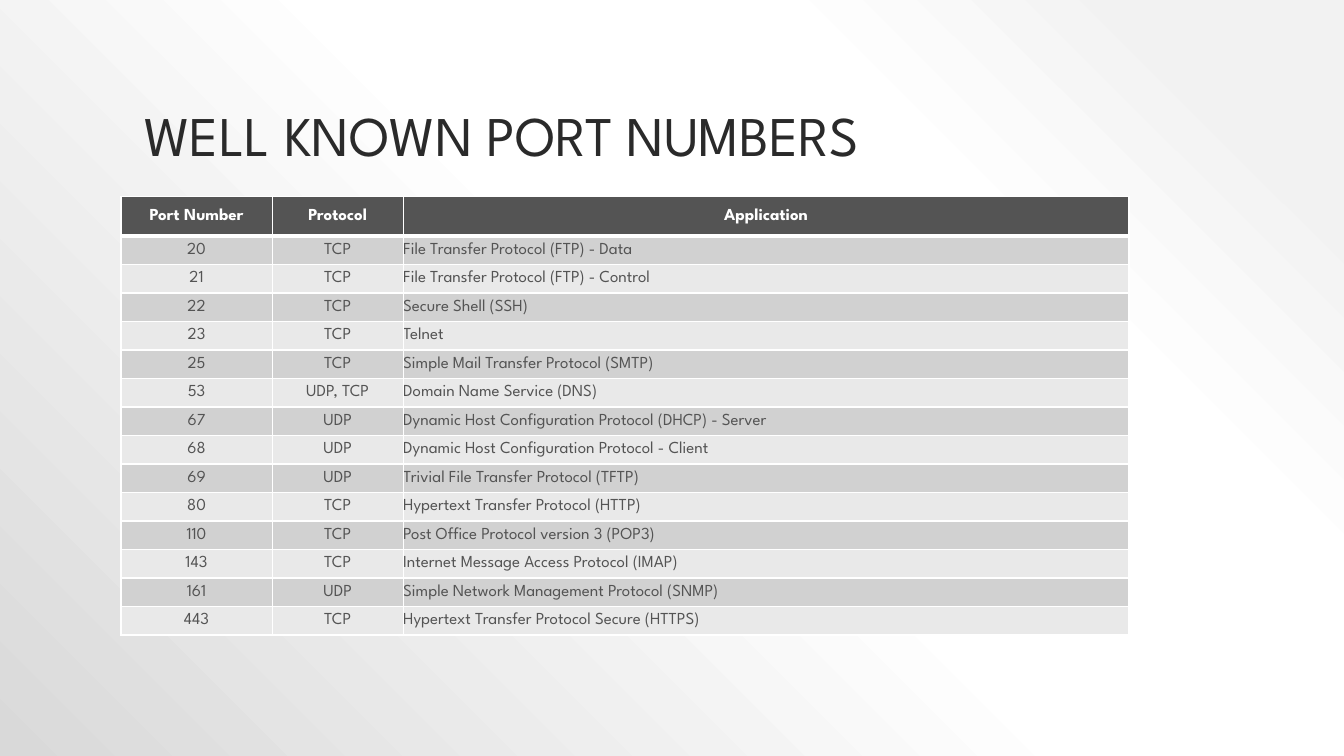
from dataclasses import dataclass

from lxml import etree
from pptx import Presentation, util as u
from pptx.dml.color import RGBColor
from pptx.enum import text
from pptx.oxml import ns


@dataclass(frozen=True)
class Theme:
    font: str = "League Spartan"
    title_size: int = 40
    table_size: int = 12
    title_ink: str = "2A2A2A"
    header_ink: str = "FFFFFF"
    body_ink: str = "545454"
    header_fill: str = "545454"
    bands: tuple = ("D1D1D1", "E9E9E9")
    rule: str = "FFFFFF"
    backdrop: tuple = ((10, "F2F2F2"), (28, "FFFFFF"), (48, "FFFFFF"), (100, "D9D9D9"))


THEME = Theme()
SLIDE_WIDTH, SLIDE_HEIGHT = u.Inches(13.33), u.Inches(7.5)
TITLE_AREA = (0.1, 0.04, 0.8, 0.19)
TABLE_AREA = (0.09, 0.26, 0.75, 0.58)
COLUMN_SHARES = (0.15, 0.13, 0.72)
HEADER_SHARE = 0.09

HEADINGS = ("Port Number", "Protocol", "Application")
PORTS = (
    ("20", "TCP", "File Transfer Protocol (FTP) - Data"),
    ("21", "TCP", "File Transfer Protocol (FTP) - Control"),
    ("22", "TCP", "Secure Shell (SSH)"),
    ("23", "TCP", "Telnet"),
    ("25", "TCP", "Simple Mail Transfer Protocol (SMTP)"),
    ("53", "UDP, TCP", "Domain Name Service (DNS)"),
    ("67", "UDP", "Dynamic Host Configuration Protocol (DHCP) - Server"),
    ("68", "UDP", "Dynamic Host Configuration Protocol - Client"),
    ("69", "UDP", "Trivial File Transfer Protocol (TFTP)"),
    ("80", "TCP", "Hypertext Transfer Protocol (HTTP)"),
    ("110", "TCP", "Post Office Protocol version 3 (POP3)"),
    ("143", "TCP", "Internet Message Access Protocol (IMAP)"),
    ("161", "UDP", "Simple Network Management Protocol (SNMP)"),
    ("443", "TCP", "Hypertext Transfer Protocol Secure (HTTPS)"),
)


def place(area):
    left, top, width, height = area
    return (int(left * SLIDE_WIDTH), int(top * SLIDE_HEIGHT),
            int(width * SLIDE_WIDTH), int(height * SLIDE_HEIGHT))


def style_paragraph(paragraph, size, ink, align, bold=False):
    paragraph.alignment = align
    for run in paragraph.runs:
        run.font.name = THEME.font
        run.font.size = u.Pt(size)
        run.font.bold = bold
        run.font.color.rgb = RGBColor.from_string(ink)


def add_xml(parent, tag, **attributes):
    return etree.SubElement(parent, ns.qn(tag), **attributes)


def paint_backdrop(slide):
    slide.background.fill.gradient()
    gradient = next(slide.element.iter(ns.qn("a:gradFill")))
    for child in list(gradient):
        gradient.remove(child)
    stops = add_xml(gradient, "a:gsLst")
    for position, colour in THEME.backdrop:
        stop = add_xml(stops, "a:gs", pos=str(position * 1000))
        add_xml(stop, "a:srgbClr", val=colour)
    focus = add_xml(gradient, "a:path", path="circle")
    add_xml(focus, "a:fillToRect", l="100000", t="0", r="0", b="100000")


def fill_title(slide, wording):
    title = slide.shapes.title
    title.left, title.top, title.width, title.height = place(TITLE_AREA)
    frame = title.text_frame
    frame.text = wording
    frame.word_wrap = True
    frame.vertical_anchor = text.MSO_ANCHOR.BOTTOM
    heading = frame.paragraphs[0]
    heading.line_spacing = 0.9
    style_paragraph(heading, THEME.title_size, THEME.title_ink, text.PP_ALIGN.LEFT)


def rule_cell(cell, bottom):
    properties = cell._tc.get_or_add_tcPr()
    for side, points in (("L", 1), ("R", 1), ("T", 1), ("B", bottom)):
        line = add_xml(properties, f"a:ln{side}", w=str(u.Pt(points)))
        add_xml(add_xml(line, "a:solidFill"), "a:srgbClr", val=THEME.rule)


def fill_cell(cell, wording, fill, ink, align, header):
    cell.margin_left = cell.margin_right = cell.margin_top = cell.margin_bottom = 0
    cell.vertical_anchor = text.MSO_ANCHOR.MIDDLE
    rule_cell(cell, 3 if header else 1)
    cell.fill.solid()
    cell.fill.fore_color.rgb = RGBColor.from_string(fill)
    cell.text_frame.text = wording
    style_paragraph(cell.text_frame.paragraphs[0], THEME.table_size, ink, align, header)


def add_port_table(slide):
    records = (HEADINGS, *PORTS)
    area = place(TABLE_AREA)
    ports = slide.shapes.add_table(len(records), len(HEADINGS), *area).table
    width, height = area[2:]
    for column, share in zip(ports.columns, COLUMN_SHARES):
        column.width = int(width * share)
    header_height = int(height * HEADER_SHARE)
    for number, record in enumerate(records):
        header = number == 0
        ports.rows[number].height = (
            header_height if header else (height - header_height) // len(PORTS))
        fill = THEME.header_fill if header else THEME.bands[(number - 1) % 2]
        ink = THEME.header_ink if header else THEME.body_ink
        for position, wording in enumerate(record):
            centred = header or position < len(HEADINGS) - 1
            align = text.PP_ALIGN.CENTER if centred else text.PP_ALIGN.LEFT
            fill_cell(ports.cell(number, position), wording, fill, ink, align, header)


def main():
    deck = Presentation()
    deck.slide_width, deck.slide_height = SLIDE_WIDTH, SLIDE_HEIGHT
    slide = deck.slides.add_slide(deck.slide_layouts[5])
    paint_backdrop(slide)
    fill_title(slide, "WELL KNOWN PORT NUMBERS")
    add_port_table(slide)
    deck.save("out.pptx")


if __name__ == "__main__":
    main()
